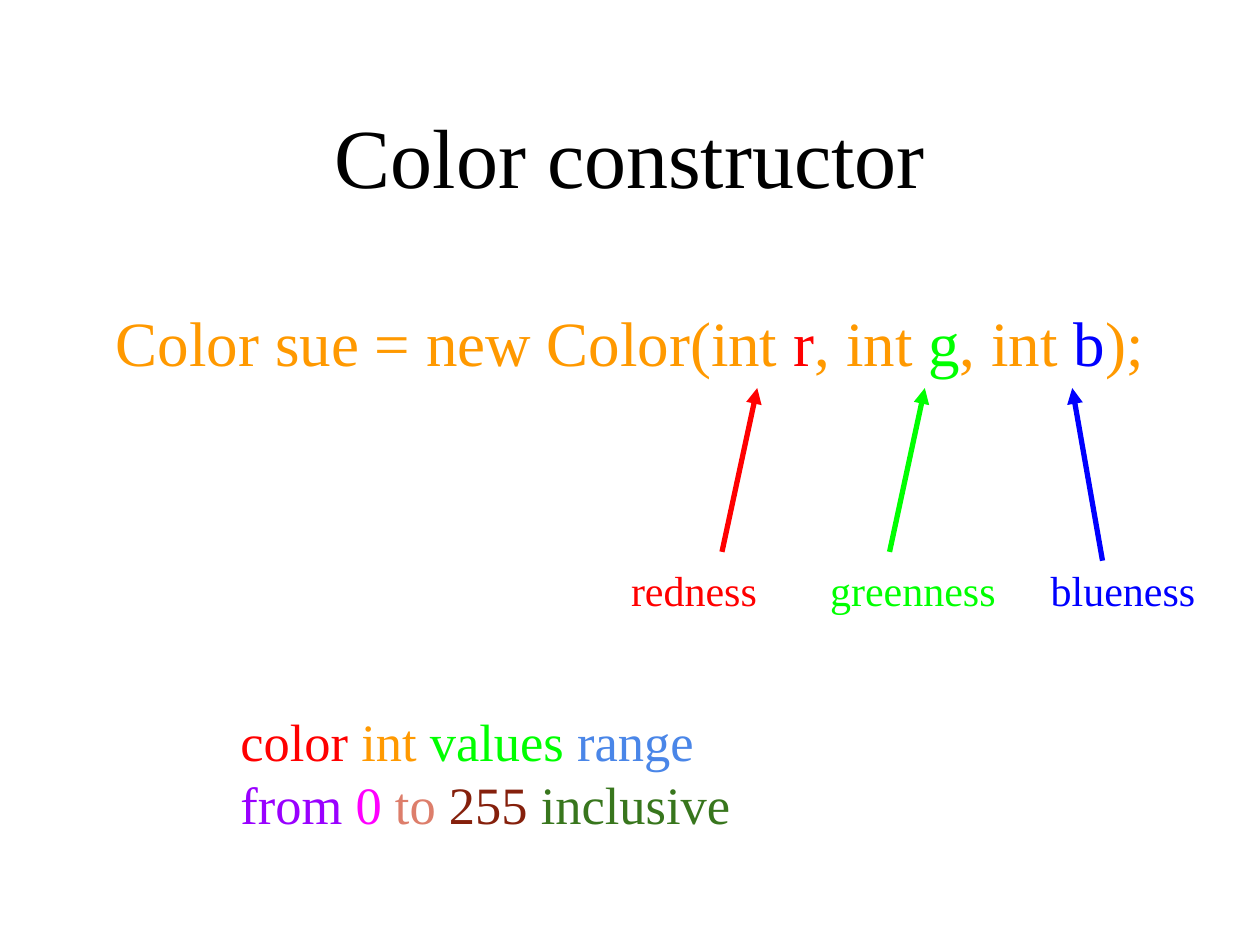
from pptx import Presentation
from pptx.dml.color import RGBColor
from pptx.enum.dml import MSO_LINE
from pptx.enum.shapes import MSO_CONNECTOR
from pptx.enum.text import MSO_ANCHOR, PP_ALIGN
from pptx.oxml.ns import qn
from pptx.util import Inches, Pt
from lxml import etree

STRAIGHT = MSO_CONNECTOR.STRAIGHT
SOLID = MSO_LINE.SOLID
TOP, BOTTOM = MSO_ANCHOR.TOP, MSO_ANCHOR.BOTTOM
LEFT, CENTER = PP_ALIGN.LEFT, PP_ALIGN.CENTER

FONT = "Times New Roman"
BLACK = RGBColor(0x00, 0x00, 0x00)
RED = RGBColor(0xFF, 0x00, 0x00)
GREEN = RGBColor(0x00, 0xFF, 0x00)
BLUE = RGBColor(0x00, 0x00, 0xFF)
ORANGE = RGBColor(0xFF, 0x99, 0x00)
SKY = RGBColor(0x4A, 0x86, 0xE8)
VIOLET = RGBColor(0x99, 0x00, 0xFF)
MAGENTA = RGBColor(0xFF, 0x00, 0xFF)
SALMON = RGBColor(0xDD, 0x7E, 0x6B)
MAROON = RGBColor(0x85, 0x20, 0x0C)
FOREST = RGBColor(0x38, 0x76, 0x1D)

CODE = [("Color sue = new Color(int ", ORANGE), ("r", RED), (", int ", ORANGE),
        ("g", GREEN), (", int ", ORANGE), ("b", BLUE), (");", ORANGE)]
RANGE_NOTE = [("color ", RED), ("int ", ORANGE), ("values ", GREEN), ("range ", SKY),
              ("from ", VIOLET), ("0 ", MAGENTA), ("to ", SALMON), ("255 ", MAROON),
              ("inclusive", FOREST)]
# Label, colour, label left and width, arrow start and end
COMPONENTS = [
    ("redness", RED, 4.91, 1.42, (5.73, 4.38), (6.01, 3.08)),
    ("greenness", GREEN, 6.49, 1.64, (7.06, 4.38), (7.34, 3.08)),
    ("blueness", BLUE, 8.24, 1.64, (8.75, 4.45), (8.51, 3.08)),
]


def place(shape, box):
    for name, value in zip(("left", "top", "width", "height"), box):
        setattr(shape, name, Inches(value))


def write_runs(shape, runs, size, alignment=LEFT, anchor=TOP, bottom=0.1):
    """Fill a shape with one paragraph of coloured runs."""
    frame = shape.text_frame
    frame_format = {
        "word_wrap": True, "vertical_anchor": anchor,
        "margin_left": Inches(0.1), "margin_right": Inches(0.1),
        "margin_top": Inches(0.1), "margin_bottom": Inches(bottom),
    }
    for name, value in frame_format.items():
        setattr(frame, name, value)
    paragraph = frame.paragraphs[0]
    properties = paragraph._p.get_or_add_pPr()
    properties.set("marL", "0")
    properties.set("indent", "0")
    etree.SubElement(properties, qn("a:buNone"))
    paragraph_format = {"alignment": alignment, "space_before": Pt(0), "line_spacing": 1.0}
    for name, value in paragraph_format.items():
        setattr(paragraph, name, value)
    for text, color in runs:
        run = paragraph.add_run()
        run.text = text
        for name, value in {"name": FONT, "size": Pt(size), "bold": False}.items():
            setattr(run.font, name, value)
        run.font.color.rgb = color


def add_title(slide, box):
    title = slide.shapes.title
    place(title, box)
    write_runs(title, [("Color constructor", BLACK)], 48, CENTER, BOTTOM, 0.16)


def add_code(slide, box):
    body = slide.placeholders[1]
    place(body, box)
    write_runs(body, CODE, 36)


def add_text(slide, box, runs, size):
    text_box = slide.shapes.add_textbox(*map(Inches, box))
    write_runs(text_box, runs, size)


def add_arrow(slide, start, end, color):
    arrow = slide.shapes.add_connector(STRAIGHT, *map(Inches, start + end))
    line = arrow.line
    line.color.rgb = color
    for name, value in {"width": Pt(3), "dash_style": SOLID}.items():
        setattr(line, name, value)
    properties = arrow._element.spPr
    outline = properties.find(qn("a:ln"))
    etree.SubElement(outline, qn("a:tailEnd"), type="triangle")
    etree.SubElement(properties, qn("a:effectLst"))


def add_components(slide, top, height):
    for label, color, left, width, start, end in COMPONENTS:
        add_arrow(slide, start, end, color)
        add_text(slide, (left, top, width, height), [(label, color)], 24)


def main():
    presentation = Presentation()
    presentation.slide_width, presentation.slide_height = Inches(10), Inches(7.5)
    slide = presentation.slides.add_slide(presentation.slide_layouts[1])
    # Title and constructor call
    add_title(slide, (0, 0.5, 10, 1.29))
    add_code(slide, (0.82, 2.31, 8.79, 0.94))
    # Arrows with their labels
    add_components(slide, 4.38, 0.94)
    # Range of the values
    add_text(slide, (1.81, 5.53, 4.2, 0.94), RANGE_NOTE, 30)
    presentation.save("out.pptx")


if __name__ == "__main__":
    main()
